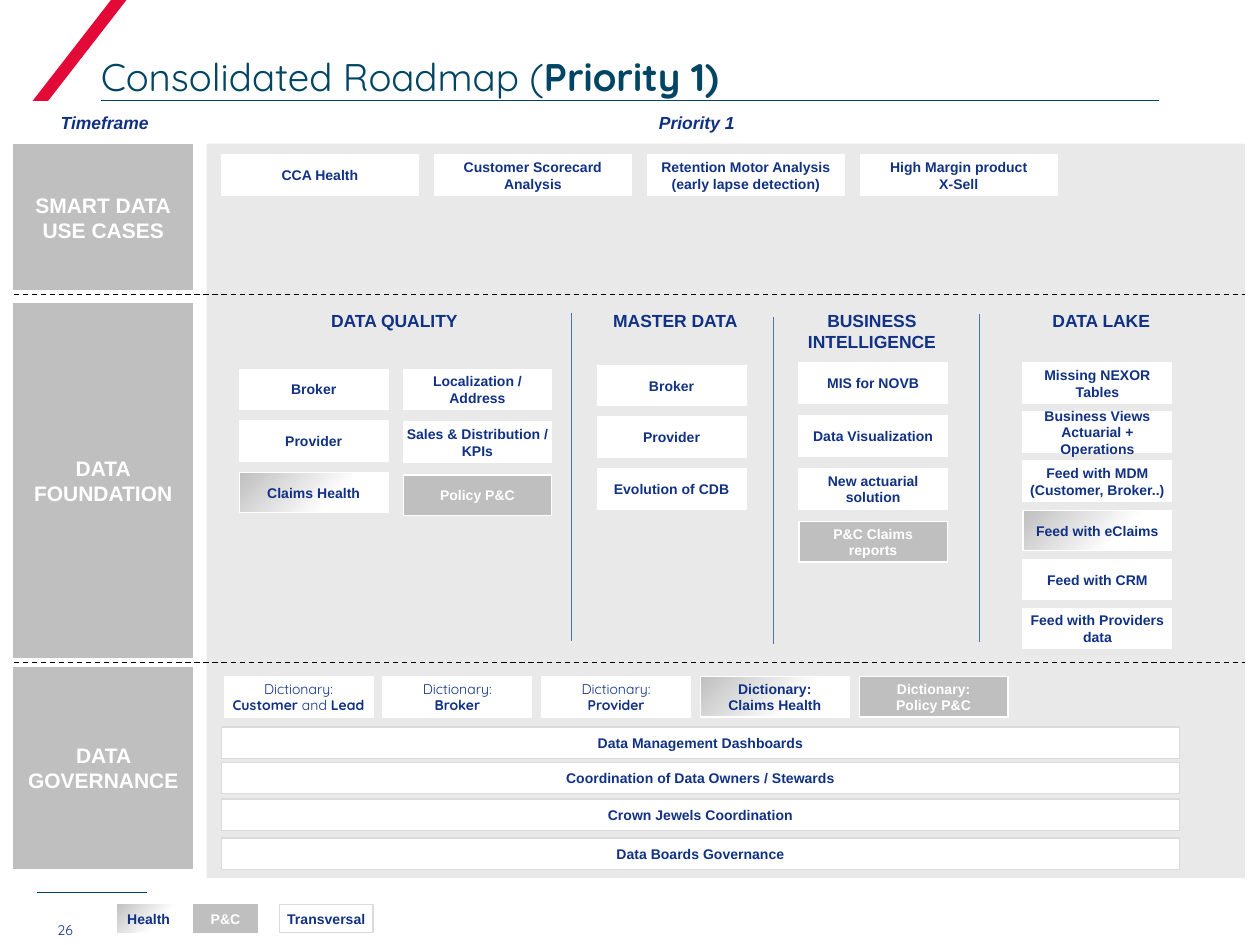
import pptx
import pptx.dml.color
import pptx.enum.dml
import pptx.enum.shapes
import pptx.enum.text
import pptx.oxml.ns
import pptx.util
from lxml import etree

Inches = pptx.util.Inches
Pt = pptx.util.Pt
SHAPES = pptx.enum.shapes.MSO_SHAPE
ALIGN = pptx.enum.text.PP_ALIGN
ANCHOR = pptx.enum.text.MSO_ANCHOR
DASHES = pptx.enum.dml.MSO_LINE

NAVY, TEAL, RED, BLUE = "103184", "004563", "E40A38", "4977B6"
WHITE, GREY, PALE, BLACK = "FFFFFF", "BFBFBF", "DBDBDB", "000000"

STYLES = {
    "plain": {"fill": WHITE, "line": WHITE, "color": NAVY},
    "framed": {"fill": WHITE, "line": PALE, "color": NAVY},
    "health": {"fill": (GREY, WHITE), "line": WHITE, "color": NAVY},
    "property": {"fill": GREY, "line": WHITE, "color": WHITE},
    "dictionary": {"fill": WHITE, "line": WHITE, "color": NAVY, "font": "Quicksand", "bold": False},
    "section": {"fill": GREY, "line": WHITE, "color": WHITE, "size": 12, "inset": (0.04, 0.04)},
}

TITLE = "Consolidated Roadmap (*Priority 1)*"
HEADINGS = [("Timeframe", 0.14, 1.38), ("Priority 1", 4.25, 2.56)]
SECTIONS = [
    ("SMART DATA\nUSE CASES", 1.14, 1.17),
    ("DATA\nFOUNDATION", 2.4, 2.83),
    ("DATA GOVERNANCE", 5.29, 1.61),
]
USE_CASES = [
    "CCA Health",
    "Customer Scorecard Analysis",
    "Retention Motor Analysis\n(early lapse detection)",
    "High Margin product\nX-Sell",
]
TOPICS = [
    ("DATA QUALITY", 1.85, 2.56),
    ("MASTER DATA", 4.66, 1.4),
    ("BUSINESS INTELLIGENCE", 6.22, 1.4),
    ("DATA LAKE", 8.04, 1.4),
]
DIVIDERS = [(4.53, 2.48), (6.14, 2.51), (7.77, 2.49)]
FOUNDATION = [
    (1.9, 2.93, 0.41, [("Broker", "plain"), ("Provider", "plain"), ("Claims Health", "health")]),
    (3.2, 2.93, 0.42, [("Localization / Address", "plain"), ("Sales & Distribution / KPIs", "plain"),
                       ("Policy P&C", "property")]),
    (4.74, 2.9, 0.41, [("Broker", "plain"), ("Provider", "plain"), ("Evolution of CDB", "plain")]),
    (6.34, 2.88, 0.42, [("MIS for NOVB", "plain"), ("Data Visualization", "plain"),
                        ("New actuarial solution", "plain"), ("P&C Claims\nreports", "property")]),
    (8.12, 2.88, 0.39, [("Missing NEXOR\nTables", "plain"),
                        ("Business Views\nActuarial + Operations", "plain"),
                        ("Feed with MDM (Customer, Broker..)", "plain"),
                        ("Feed with eClaims", "health"), ("Feed with CRM", "plain"),
                        ("Feed with Providers data", "plain")]),
]
DICTIONARIES = [
    ("Dictionary:\n*Customer* and *Lead*", "dictionary"),
    ("Dictionary:\n*Broker*", "dictionary"),
    ("Dictionary:\n*Provider*", "dictionary"),
    ("Dictionary:\nClaims Health", "health"),
    ("Dictionary:\nPolicy P&C", "property"),
]
GOVERNANCE = [
    ("Data Management Dashboards", 5.77),
    ("Coordination of Data Owners / Stewards", 6.05),
    ("Crown Jewels Coordination", 6.34),
    ("Data Boards Governance", 6.65),
]
LEGEND = [
    ("Health", "health", 0.92, 7.17, 0.52, 0.24),
    ("P&C", "property", 1.53, 7.17, 0.52, 0.24),
    ("Transversal", "framed", 2.22, 7.18, 0.74, 0.22),
]


def rgb(value):
    return pptx.dml.color.RGBColor.from_string(value)


def apply(target, values):
    for name, value in values.items():
        setattr(target, name, value)


def write(box, text, color=NAVY, size=8, font="Arial", bold=True, italic=False,
          align=ALIGN.CENTER, anchor=ANCHOR.MIDDLE, inset=(0, 0.05)):
    frame = box.text_frame
    side, edge = map(Inches, inset)
    apply(frame, {"word_wrap": True, "auto_size": pptx.enum.text.MSO_AUTO_SIZE.NONE,
                  "vertical_anchor": anchor, "margin_left": side, "margin_right": side,
                  "margin_top": edge, "margin_bottom": edge})
    for index, line in enumerate(text.split("\n")):
        para = frame.add_paragraph() if index else frame.paragraphs[0]
        para.alignment = align
        for part, words in enumerate(line.split("*")):
            if words:
                span = para.add_run()
                span.text = words
                apply(span.font, {"name": font, "size": Pt(size), "italic": italic,
                                  "bold": bold or part % 2 == 1})
                span.font.color.rgb = rgb(color)


def add_block(page, at, fill, line=None, kind=SHAPES.RECTANGLE):
    block = page.shapes.add_shape(kind, *map(Inches, at))
    block.shadow.inherit = False
    if isinstance(fill, tuple):
        block.fill.gradient()
        block.fill.gradient_angle = 315
        for stop, color, position in zip(block.fill.gradient_stops, fill, (0, 0.65)):
            stop.color.rgb = rgb(color)
            stop.position = position
    else:
        block.fill.solid()
        block.fill.fore_color.rgb = rgb(fill)
    if line:
        block.line.color.rgb = rgb(line)
        block.line.width = Pt(0.75)
    else:
        block.line.fill.background()
    return block


def add_card(page, text, style, *at):
    values = dict(STYLES[style])
    write(add_block(page, at, values.pop("fill"), values.pop("line")), text, **values)


def add_label(page, text, at, **values):
    box = page.shapes.add_textbox(*map(Inches, at))
    write(box, text, inset=(0, 0), **values)


def add_line(page, start, end, color, width, dash=None):
    line = page.shapes.add_connector(pptx.enum.shapes.MSO_CONNECTOR.STRAIGHT,
                                     *map(Inches, start + end))
    line.line.color.rgb = rgb(color)
    apply(line.line, {"width": Pt(width), "dash_style": dash})
    etree.SubElement(line._element.spPr, pptx.oxml.ns.qn("a:effectLst"))


def main():
    deck = pptx.Presentation()
    apply(deck, {"slide_width": Inches(10), "slide_height": Inches(7.5)})
    page = deck.slides.add_slide(deck.slide_layouts[5])

    add_line(page, (0.29, 7.08), (1.17, 7.08), TEAL, 0.5)
    slash = add_block(page, (0.26, -0.02, 0.76, 0.82), RED, kind=SHAPES.PARALLELOGRAM)
    slash.adjustments[0] = 0.838
    add_line(page, (0.8, 0.8), (9.2, 0.8), TEAL, 0.5)

    title = page.shapes.title
    apply(title, dict(zip(("left", "top", "width", "height"), map(Inches, (0.8, 0.42, 8.4, 0.37)))))
    write(title, TITLE, color=TEAL, size=22, font="Quicksand", bold=False,
          align=ALIGN.LEFT, anchor=ANCHOR.BOTTOM, inset=(0, 0))
    add_label(page, "26", (0.25, 7.2, 0.33, 0.25), font="Quicksand", bold=False,
              align=ALIGN.RIGHT, anchor=ANCHOR.BOTTOM)

    panel = add_block(page, (1.64, 1.14, 8.24, 5.83), PALE)
    tint = panel._element.spPr.find(".//" + pptx.oxml.ns.qn("a:srgbClr"))
    etree.SubElement(tint, pptx.oxml.ns.qn("a:alpha"), val="60000")

    for text, left, width in HEADINGS:
        add_label(page, text, (left, 0.89, width, 0.24), size=10, italic=True, anchor=ANCHOR.TOP)
    for text, top, height in SECTIONS:
        add_card(page, text, "section", 0.1, top, 1.44, height)
    for height in (2.34, 5.26):
        add_line(page, (0.11, height), (9.88, height), BLACK, 0.75, DASHES.DASH)

    for index, text in enumerate(USE_CASES):
        add_card(page, text, "plain", 1.76 + 1.69 * index, 1.23, 1.56, 0.32)

    for text, left, width in TOPICS:
        add_label(page, text, (left, 2.46, width, 0.31), size=10, anchor=ANCHOR.TOP)
    for left, top in DIVIDERS:
        add_line(page, (left, top + 2.6), (left, top), BLUE, 0.25, DASHES.ROUND_DOT)
    for left, top, step, cards in FOUNDATION:
        for index, (text, style) in enumerate(cards):
            add_card(page, text, style, left, top + step * index, 1.18, 0.32)

    for index, (text, style) in enumerate(DICTIONARIES):
        add_card(page, text, style, 1.78 + 1.26 * index, 5.37, 1.18, 0.32)
    for text, top in GOVERNANCE:
        add_card(page, text, "framed", 1.76, top, 7.6, 0.25)
    for card in LEGEND:
        add_card(page, *card)

    deck.save("out.pptx")


if __name__ == "__main__":
    main()
